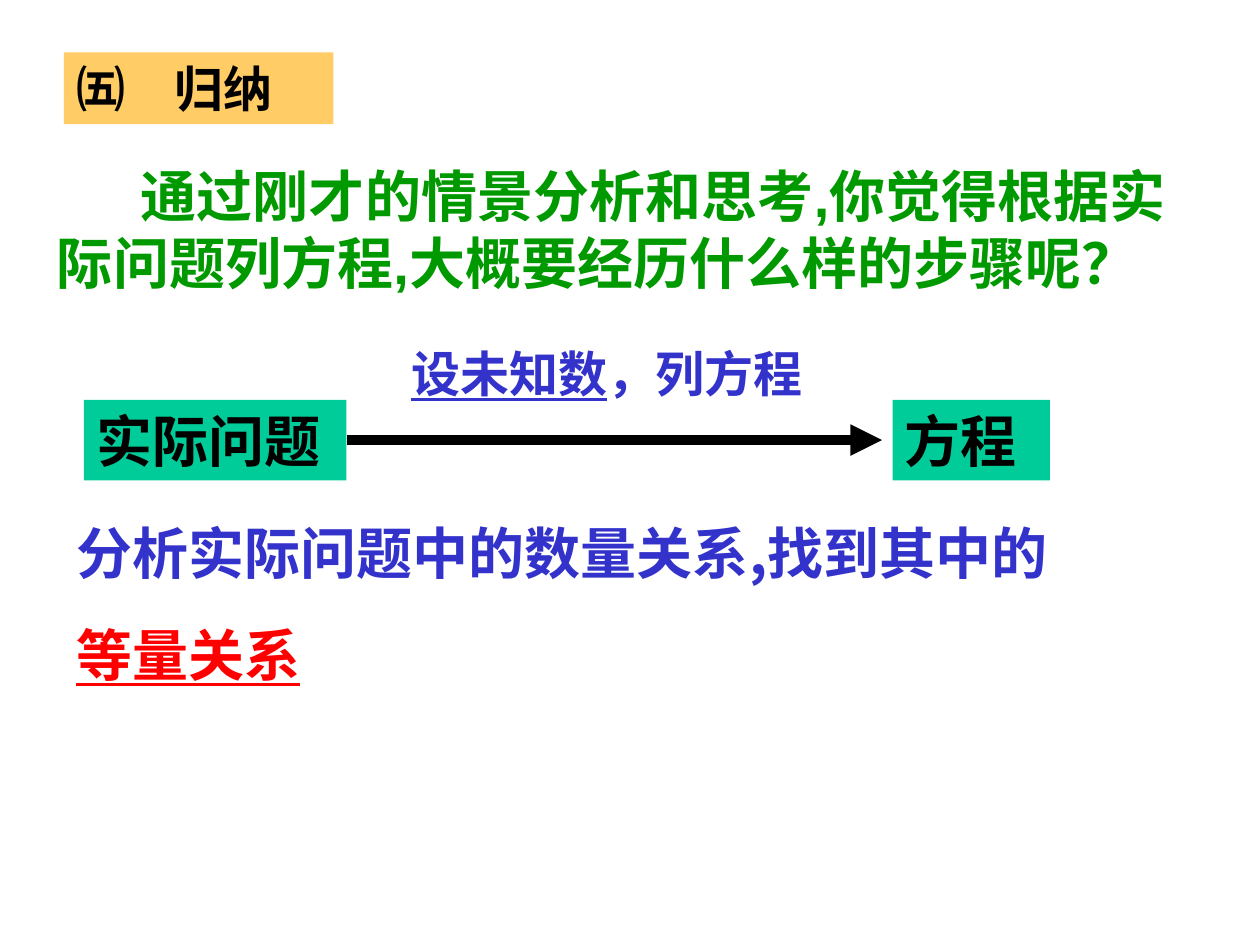
from dataclasses import dataclass

from lxml.etree import SubElement
from pptx import Presentation
from pptx.dml.color import RGBColor as RGB
from pptx.enum.lang import MSO_LANGUAGE_ID as Lang
from pptx.enum.shapes import MSO_CONNECTOR as Link, MSO_SHAPE as Shape
from pptx.enum.text import MSO_ANCHOR as Anchor, PP_ALIGN as Align
from pptx.oxml.ns import qn
from pptx.util import Pt

RIGHT = 3


@dataclass(frozen=True)
class Theme:
    black: str = "000000"
    green: str = "009900"
    blue: str = "3333CC"
    red: str = "FF0000"
    amber: str = "FFCC66"
    teal: str = "00CC99"
    small: int = 28
    large: int = 32
    sans: str = "Arial"
    serif: str = "Times New Roman"
    chinese: str = "Noto Sans CJK SC"


class Builder:
    def __init__(self, theme, page):
        self.theme = theme
        self.page = page

    def fill_para(self, para, spans, size, color, font):
        """Fill a paragraph from (text, underlined) spans."""
        para.alignment = Align.LEFT
        style = para.font
        style.size, style.bold, style.name = Pt(size), True, font
        style.color.rgb = RGB.from_string(color)
        style.language_id = Lang.SIMPLIFIED_CHINESE
        east_asian = SubElement(para._p.pPr.find(qn("a:defRPr")), qn("a:ea"))
        east_asian.set("typeface", self.theme.chinese)
        for text, underlined in spans:
            span = para.add_run()
            span.text = text
            if underlined:
                span.font.underline = True

    def text(self, left, top, width, height, spans, size, color, font, indent=0):
        box = self.page.shapes.add_textbox(Pt(left), Pt(top), Pt(width), Pt(height))
        box.text_frame.word_wrap = True
        para = box.text_frame.paragraphs[0]
        if indent:
            para._p.get_or_add_pPr().set("indent", str(Pt(indent)))
        self.fill_para(para, spans, size, color, font)
        return box

    def block(self, left, top, width, height, label, fill, size, font):
        box = self.page.shapes.add_shape(
            Shape.RECTANGLE, Pt(left), Pt(top), Pt(width), Pt(height))
        box.shadow.inherit = False
        box.fill.solid()
        box.fill.fore_color.rgb = RGB.from_string(fill)
        box.line.fill.background()
        frame = box.text_frame
        frame.word_wrap = True
        frame.vertical_anchor = Anchor.TOP
        self.fill_para(frame.paragraphs[0], [(label, False)], size,
                       self.theme.black, font)
        return box

    def arrow(self, source, end_x, y, weight):
        line = self.page.shapes.add_connector(
            Link.STRAIGHT, source.left + source.width, Pt(y), Pt(end_x), Pt(y))
        line.begin_connect(source, RIGHT)
        line.line.color.rgb = RGB.from_string(self.theme.black)
        line.line.width = Pt(weight)
        outline = line._element.spPr.find(qn("a:ln"))
        SubElement(outline, qn("a:tailEnd"), type="triangle")
        SubElement(line._element.spPr, qn("a:effectLst"))
        return line


def main():
    deck = Presentation()
    deck.slide_width, deck.slide_height = Pt(720), Pt(540)
    theme = Theme()
    slide = Builder(theme, deck.slides.add_slide(deck.slide_layouts[6]))

    # Heading and question
    slide.block(36.5, 30, 154, 41, "㈤　归纳",
                theme.amber, theme.small, theme.sans)
    slide.text(25.5, 88.5, 659, 84,
               [("通过刚才的情景分析和思考,你觉得根据实际问题列方程,"
                 "大概要经历什么样的步骤呢？", False)],
               theme.large, theme.green, theme.sans, indent=48)

    # From the problem to the equation
    row_top, row_height = 228.5, 46
    problem, _ = [
        slide.block(left, row_top, width, row_height, label,
                    theme.teal, theme.large, theme.serif)
        for left, width, label in ((48, 150, "实际问题"), (510, 90, "方程"))]
    slide.arrow(problem, 504, row_top + row_height / 2, 6)
    slide.text(228, 192.5, 262, 41, [("设未知数", True), ("，列方程", False)],
               theme.small, theme.blue, theme.serif)

    # Key step
    step = slide.text(36.5, 292.5, 641, 104,
                      [("分析实际问题中的数量关系,找到其中的", False)],
                      theme.large, theme.blue, theme.chinese)
    key = step.text_frame.add_paragraph()
    key.space_before = Pt(20)
    slide.fill_para(key, [("等量关系", True)], theme.large, theme.red, theme.chinese)

    deck.save("out.pptx")


if __name__ == "__main__":
    main()
